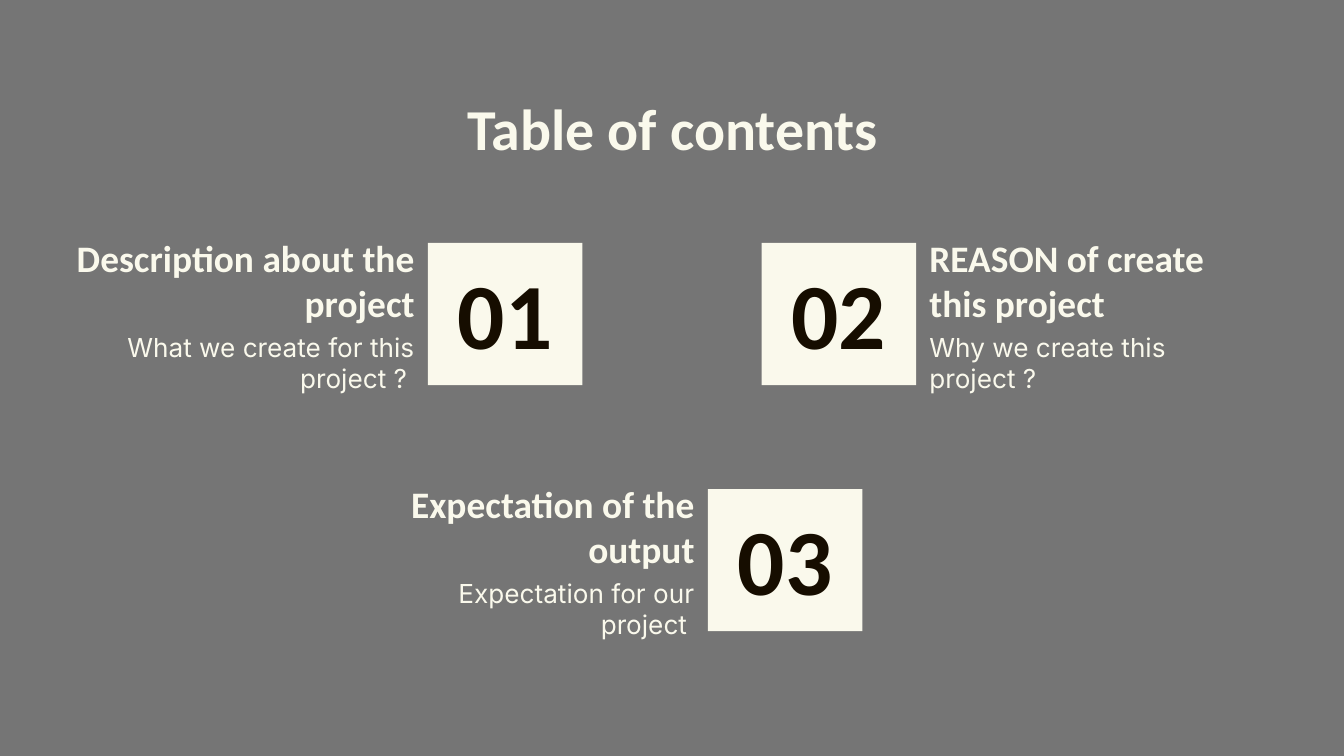
from dataclasses import dataclass

from pptx import Presentation
from pptx import util as u
from pptx.dml.color import RGBColor
from pptx.enum import shapes, text

WIDE = u.Inches(10)
HIGH = WIDE * 9 // 16
COL, ROW = WIDE / 100, HIGH / 100
GREY, CREAM, DARK = "757575", "FAF9EC", "160D00"
LEFT, MID, RIGHT = text.PP_ALIGN.LEFT, text.PP_ALIGN.CENTER, text.PP_ALIGN.RIGHT
TILE_W, TILE_H = 11.5, 18.8
HEAD_W, NOTE_W = 30.1, 24


@dataclass
class Topic:
    num: str
    head: str
    note: str
    x: float
    y: float
    side: int = LEFT
    head_w: float = NOTE_W


TOPICS = [
    Topic("01", "Description about the project", "What we create for this project ? ",
          31.84, 32.15, head_w=HEAD_W),
    Topic("02", "REASON of create\nthis project", "Why we create this project ?",
          56.67, 32.15, side=RIGHT, head_w=HEAD_W),
    Topic("03", "Expectation of the output", "Expectation for our project ",
          52.67, 64.7),
]


def color(code: str) -> RGBColor:
    return RGBColor.from_string(code)


def area(x: float, y: float, w: float, h: float) -> tuple:
    return int(x * COL), int(y * ROW), int(w * COL), int(h * ROW)


def write(shape, words: str, *, size: float, ink: str = CREAM, font: str = "Calibri",
          bold: bool = True, align=MID) -> None:
    frame = shape.text_frame
    frame.text = words
    frame.word_wrap = True
    frame.auto_size = text.MSO_AUTO_SIZE.NONE
    frame.vertical_anchor = text.MSO_ANCHOR.TOP
    frame.margin_left = frame.margin_right = u.Inches(0.1)
    frame.margin_top = frame.margin_bottom = u.Inches(0.1)
    for para in frame.paragraphs:
        para.alignment = align
        for run in para.runs:
            run.font.size = u.Pt(size)
            run.font.name = font
            run.font.bold = bold
            run.font.color.rgb = color(ink)


def draw(slide, topic: Topic) -> None:
    tile = slide.shapes.add_shape(shapes.MSO_SHAPE.RECTANGLE,
                                  *area(topic.x, topic.y, TILE_W, TILE_H))
    tile.shadow.inherit = False
    tile.fill.solid()
    tile.fill.fore_color.rgb = color(CREAM)
    tile.line.fill.background()
    write(tile, topic.num, size=50, ink=DARK)

    after = topic.side == RIGHT
    align = LEFT if after else RIGHT

    def label(words: str, drop: float, w: float, h: float, **style) -> None:
        x = topic.x + TILE_W if after else topic.x - w
        box = slide.shapes.add_textbox(*area(x, topic.y + drop, w, h))
        write(box, words, align=align, **style)

    label(topic.head, -2.8, topic.head_w, 15.5, size=20)
    label(topic.note, 9.9, NOTE_W, 11.7, size=14, font="Inter", bold=False)


def main() -> None:
    deck = Presentation()
    deck.slide_width, deck.slide_height = WIDE, HIGH
    slide = deck.slides.add_slide(deck.slide_layouts.get_by_name("Title Only"))
    slide.background.fill.solid()
    slide.background.fill.fore_color.rgb = color(GREY)
    title = slide.shapes.title
    title.left, title.top, title.width, title.height = area(7.9, 10.5, 84.3, 12.3)
    write(title, "Table of contents", size=31)
    for topic in TOPICS:
        draw(slide, topic)
    deck.save("out.pptx")


if __name__ == "__main__":
    main()
